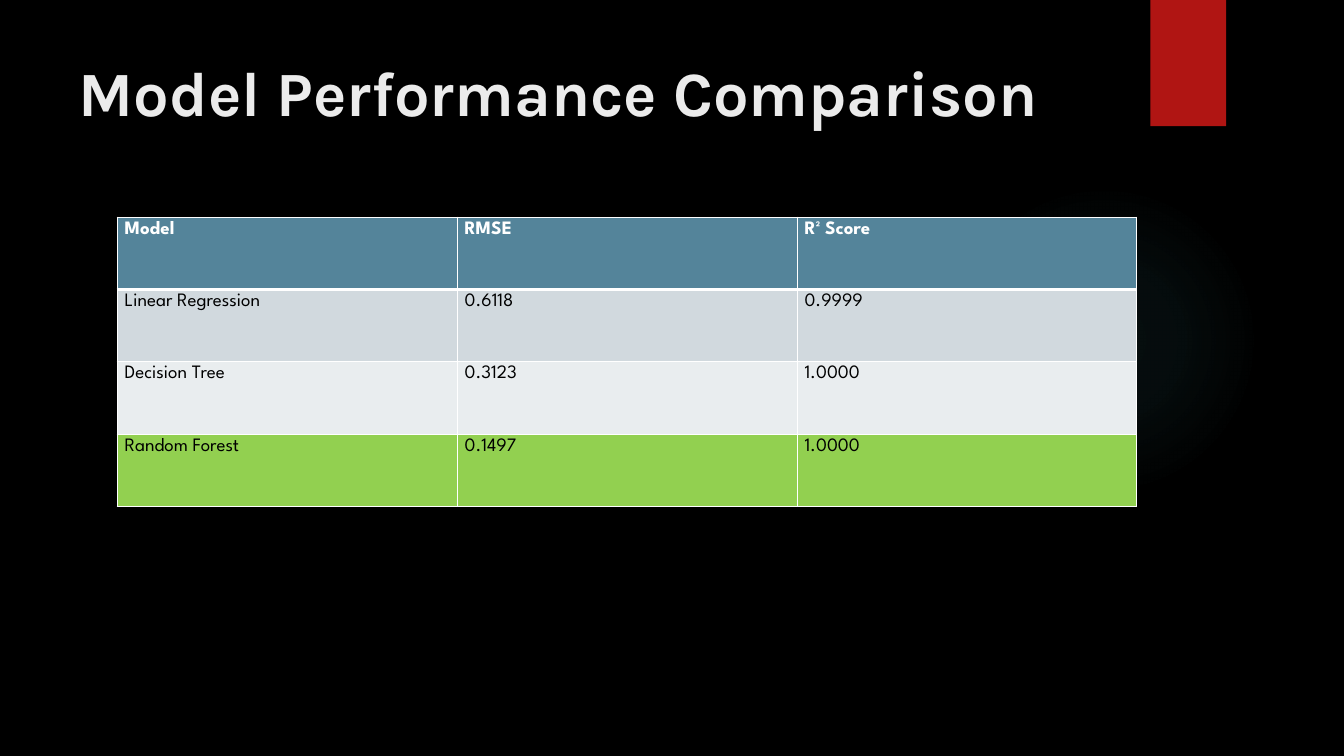
from lxml import etree
from pptx import Presentation
from pptx.dml.color import RGBColor
from pptx.enum.shapes import MSO_SHAPE as Shape
from pptx.enum.text import MSO_ANCHOR as Anchor, PP_ALIGN as Align
from pptx.oxml import parse_xml
from pptx.oxml.ns import nsdecls, qn
from pptx.util import Inches, Pt

TITLE = "Model Performance Comparison"
ROWS = [
    ("Model", "RMSE", "R² Score"),
    ("Linear Regression", "0.6118", "0.9999"),
    ("Decision Tree", "0.3123", "1.0000"),
    ("Random Forest", "0.1497", "1.0000"),
]

BLACK = RGBColor(0x00, 0x00, 0x00)
WHITE = RGBColor(0xFF, 0xFF, 0xFF)
OFF_WHITE = RGBColor(0xEB, 0xEB, 0xEB)
RED = RGBColor(0xB0, 0x15, 0x13)
TEAL = RGBColor(0x50, 0xB9, 0xC1)
STEEL = RGBColor(0x54, 0x84, 0x9A)
MIST = RGBColor(0xD1, 0xD9, 0xDE)
PALE = RGBColor(0xE9, 0xED, 0xEF)
GREEN = RGBColor(0x92, 0xD0, 0x50)

ROW_FILLS = [STEEL, MIST, PALE, GREEN]
GLOW_STOPS = [(0, 7), (36, 6), (69, 0)]
SLIDE_SIZE = (17.78, 10)
GLOW_AREA = (12.55, 2.44, 4.11, 4.11)
TAB_AREA = (15.22, 0, 1, 1.67)
TITLE_AREA = (0.94, 0.66, 13.71, 2.04)
TABLE_AREA = (1.55, 2.87, 13.49, 3.83)


def inches(lengths):
    return [Inches(length) for length in lengths]


def add_plain_shape(page, kind, area):
    shape = page.shapes.add_shape(kind, *inches(area))
    shape.shadow.inherit = False
    shape.line.fill.background()
    return shape


def add_glow(page):
    glow = add_plain_shape(page, Shape.OVAL, GLOW_AREA)
    stops = "".join(
        f'<a:gs pos="{place * 1000}"><a:srgbClr val="{TEAL}">'
        f'<a:alpha val="{opacity * 1000}"/></a:srgbClr></a:gs>'
        for place, opacity in GLOW_STOPS
    )
    gradient = parse_xml(
        f'<a:gradFill {nsdecls("a")}><a:gsLst>{stops}</a:gsLst><a:path path="circle">'
        '<a:fillToRect l="50000" t="50000" r="50000" b="50000"/></a:path></a:gradFill>'
    )
    glow._element.spPr.find(qn("a:prstGeom")).addnext(gradient)


def add_tab(page):
    tab = add_plain_shape(page, Shape.RECTANGLE, TAB_AREA)
    tab.fill.solid()
    tab.fill.fore_color.rgb = RED
    effects = tab._element.spPr.find(qn("a:effectLst"))
    effects.append(parse_xml(
        f'<a:outerShdw {nsdecls("a")} blurRad="{Pt(3)}" dist="{Pt(2)}" dir="5400000">'
        f'<a:srgbClr val="{BLACK}"><a:alpha val="45000"/></a:srgbClr></a:outerShdw>'
    ))


def write(para, text, font, size, color, bold):
    span = para.add_run()
    span.text = text
    span.font.name = font
    span.font.size = Pt(size)
    span.font.color.rgb = color
    span.font.bold = bold


def add_title(page):
    title = page.shapes.title
    title.left, title.top, title.width, title.height = inches(TITLE_AREA)
    title.text_frame.vertical_anchor = Anchor.TOP
    para = title.text_frame.paragraphs[0]
    para.alignment = Align.LEFT
    write(para, TITLE, "Karla", 60, OFF_WHITE, True)


def set_borders(cell, bottom):
    properties = cell._tc.get_or_add_tcPr()
    widths = {"lnL": 1, "lnR": 1, "lnT": 1, "lnB": bottom}
    for index, (side, width) in enumerate(widths.items()):
        border = etree.Element(qn(f"a:{side}"), w=str(Pt(width)))
        fill = etree.SubElement(border, qn("a:solidFill"))
        etree.SubElement(fill, qn("a:srgbClr"), val=str(WHITE))
        properties.insert(index, border)


def add_scores(page):
    frame = page.shapes.add_table(len(ROWS), len(ROWS[0]), *inches(TABLE_AREA))
    table = frame.table
    for row, (texts, color) in enumerate(zip(ROWS, ROW_FILLS)):
        header = row == 0
        for column, text in enumerate(texts):
            cell = table.cell(row, column)
            cell.fill.solid()
            cell.fill.fore_color.rgb = color
            set_borders(cell, 3 if header else 1)
            if row == 1:
                cell._tc.tcPr.find(qn("a:lnT")).set("w", str(Pt(3)))
            write(cell.text_frame.paragraphs[0], text, "League Spartan", 18,
                  WHITE if header else BLACK, header)


def main():
    deck = Presentation()
    deck.slide_width, deck.slide_height = inches(SLIDE_SIZE)
    page = deck.slides.add_slide(deck.slide_layouts[5])
    page.background.fill.solid()
    page.background.fill.fore_color.rgb = BLACK
    add_glow(page)
    add_tab(page)
    add_title(page)
    add_scores(page)
    deck.save("out.pptx")


if __name__ == "__main__":
    main()
